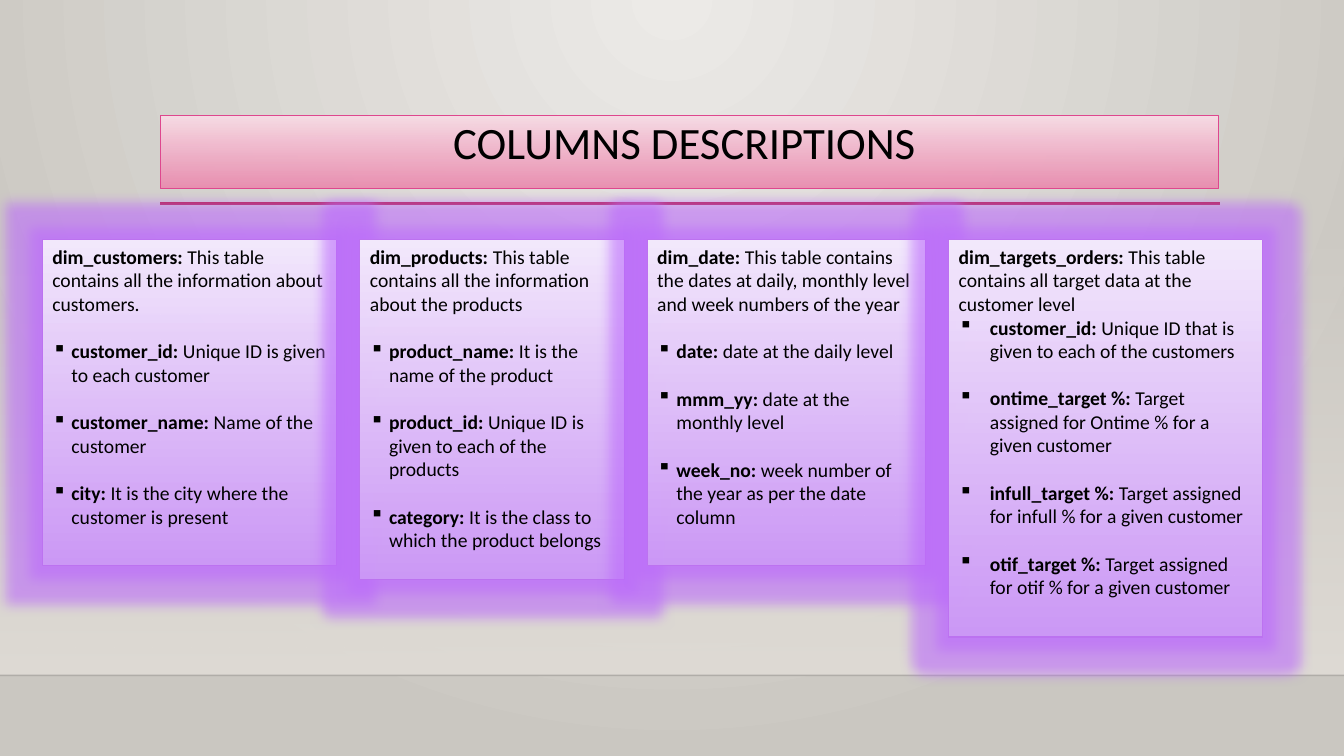
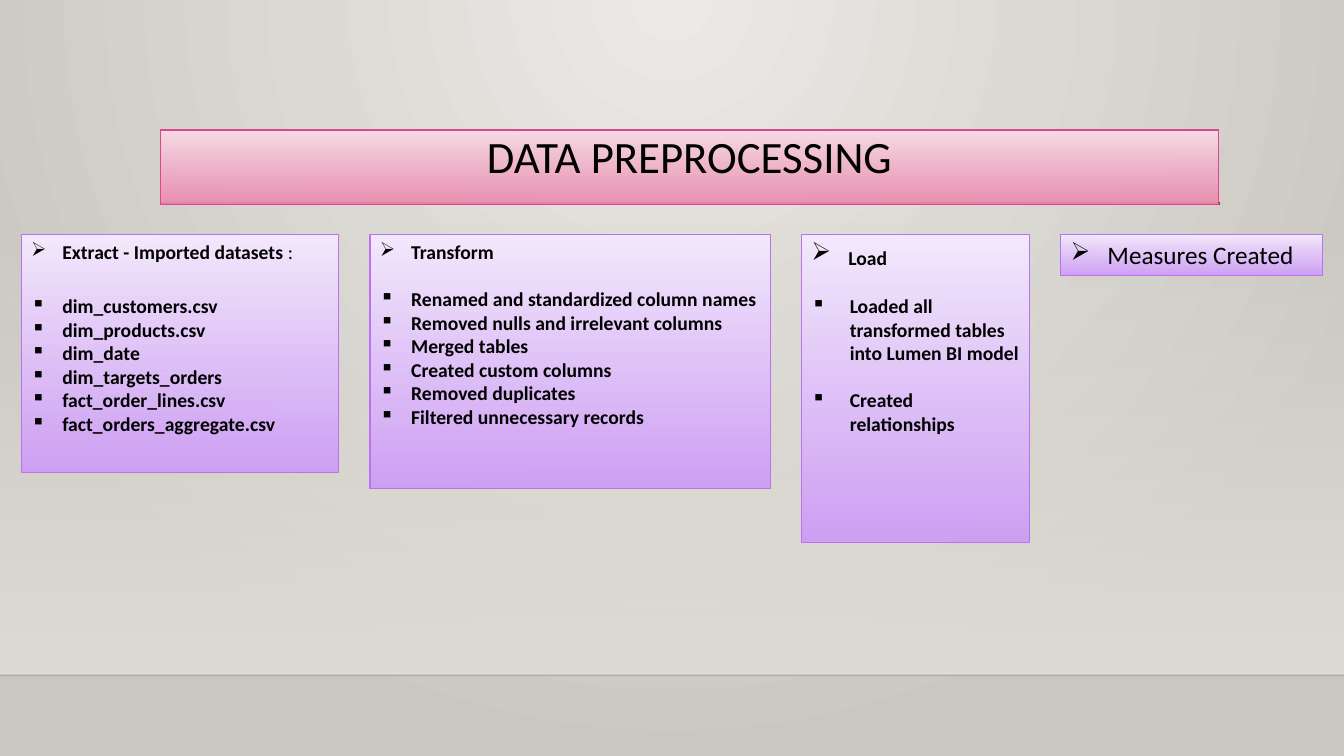
from dataclasses import dataclass

import pptx
import pptx.dml.color
import pptx.enum.shapes
import pptx.enum.text
import pptx.oxml
import pptx.oxml.ns
import pptx.util
from lxml import etree
from pptx.util import Inches

FONT = "Calibri"
BLACK = "000000"
BACKDROP = ("ECEAE7", "CAC7C1")
FLOOR = "DFDBD5"
RULE_RED = "B71E42"
TITLE_FILL, TITLE_LINE = ("F7DCE5", "EA8AAE"), "DE478E"
CARD_FILL, CARD_LINE = ("F4EAFD", "CE9CF7"), "BC72F0"
SQUARE, ARROW = "▪", "➢"
BLANK_LINE = 17


@dataclass
class Line:
    runs: list
    bullet: str = ""
    indent: float = 0
    gap: float = 0


def bold(text, size=14):
    return text, size, True


def plain(text, size=14):
    return text, size, False


def rgb(value):
    return pptx.dml.color.RGBColor.from_string(value)


def add_child(parent, tag, **attributes):
    child = etree.SubElement(parent, pptx.oxml.ns.qn(tag))
    for key, value in attributes.items():
        child.set(key, str(value))
    return child


def set_opacity(owner, colour, percent):
    """Make every use of the colour inside the owner's XML translucent."""
    for node in owner.element.iter(pptx.oxml.ns.qn("a:srgbClr")):
        if node.get("val") == colour:
            add_child(node, "a:alpha", val=percent * 1000)


def set_gradient(fill, colours):
    """Fill from the first colour at the top to the second at the bottom."""
    fill.gradient()
    fill.gradient_angle = 270
    for stop, colour in zip(fill.gradient_stops, colours):
        stop.color.rgb = rgb(colour)


def add_panel(slide, left, top, width, height, colours, outline=None):
    panel = slide.shapes.add_shape(
        pptx.enum.shapes.MSO_SHAPE.RECTANGLE,
        Inches(left), Inches(top), Inches(width), Inches(height))
    panel.shadow.inherit = False
    set_gradient(panel.fill, colours)
    if outline:
        panel.line.color.rgb = rgb(outline)
        panel.line.width = pptx.util.Pt(0.75)
        set_opacity(panel, colours[1], 92)
    else:
        panel.line.fill.background()
    frame = panel.text_frame
    frame.word_wrap = True
    frame.vertical_anchor = pptx.enum.text.MSO_ANCHOR.TOP
    return panel


def add_rule(slide, left, right, y, colour, weight):
    rule = slide.shapes.add_connector(
        pptx.enum.shapes.MSO_CONNECTOR.STRAIGHT,
        Inches(left), Inches(y), Inches(right), Inches(y))
    rule.line.color.rgb = rgb(colour)
    rule.line.width = pptx.util.Pt(weight)
    add_child(rule.element.spPr, "a:effectLst")
    return rule


def set_font(run, size, is_bold=False):
    run.font.name = FONT
    run.font.size = pptx.util.Pt(size)
    run.font.bold = is_bold
    run.font.color.rgb = rgb(BLACK)


def write_line(paragraph, line):
    paragraph.alignment = pptx.enum.text.PP_ALIGN.LEFT
    if line.bullet:
        properties = paragraph._p.get_or_add_pPr()
        properties.set("marL", str(Inches(line.indent)))
        properties.set("indent", str(-Inches(line.indent)))
        add_child(properties, "a:buChar", char=line.bullet)
    if line.gap:
        paragraph.space_before = pptx.util.Pt(line.gap)
    for text, size, is_bold in line.runs:
        run = paragraph.add_run()
        run.text = text
        set_font(run, size, is_bold)


def add_card(slide, left, top, width, height, lines):
    card = add_panel(slide, left, top, width, height, CARD_FILL, CARD_LINE)
    frame = card.text_frame
    for index, line in enumerate(lines):
        write_line(frame.add_paragraph() if index else frame.paragraphs[0], line)
    return card


def add_card_row(slide, left, top, gap, cards):
    """Place (width, height, lines) cards side by side with equal gaps."""
    row = []
    for width, height, lines in cards:
        row.append(add_card(slide, left, top, width, height, lines))
        left += width + gap
    return row


def add_glow(shape):
    effects = shape.element.spPr.find(pptx.oxml.ns.qn("a:effectLst"))
    glow = add_child(effects, "a:glow", rad=Inches(0.25))
    colour = add_child(glow, "a:srgbClr", val="BC6CFB")
    add_child(colour, "a:alpha", val=60000)


def add_title(slide, text, top, height):
    title = add_panel(slide, 1.59, top, 10.5, height, TITLE_FILL, TITLE_LINE)
    paragraph = title.text_frame.paragraphs[0]
    paragraph.text = text
    paragraph.alignment = pptx.enum.text.PP_ALIGN.CENTER
    paragraph.line_spacing = 0.9
    set_font(paragraph.runs[0], 32)


def dress_master(master, slide):
    """Give the master its backdrop, floor and rules, drawn by way of a slide."""
    set_gradient(master.background.fill, BACKDROP)
    linear = next(master.element.iter(pptx.oxml.ns.qn("a:lin")))
    gradient = linear.getparent()
    gradient.remove(linear)
    circle = add_child(gradient, "a:path", path="circle")
    add_child(circle, "a:fillToRect", l=43000, t=0, r=43000, b=100000)

    floor = add_panel(slide, 0, 2.21, 13.33, 4.49, (FLOOR, FLOOR))
    first_stop = next(floor.element.iter(pptx.oxml.ns.qn("a:srgbClr")))
    add_child(first_stop, "a:alpha", val=0)
    horizon = add_rule(slide, 0, 13.33, 6.7, BLACK, 1)
    set_opacity(horizon, BLACK, 20)
    title_rule = add_rule(slide, 1.59, 12.1, 2.02, RULE_RED, 2.5)
    for shape in (floor, horizon, title_rule):
        master.shapes.element.append(shape.element)


def table_lines(table, about, columns, indent=0.19, first_gap=BLANK_LINE):
    lines = [Line([bold(table + ": "), plain(about)])]
    for index, (column, meaning) in enumerate(columns):
        lines.append(Line([bold(column + ": "), plain(meaning)], SQUARE, indent,
                          BLANK_LINE if index else first_gap))
    return lines


def step_lines(heading, items, indent=0.31, first_gap=BLANK_LINE, gap=0):
    lines = [Line(heading, ARROW, 0.31)]
    for index, item in enumerate(items):
        lines.append(Line([bold(item)], SQUARE, indent, gap if index else first_gap))
    return lines


def build_columns(slide):
    add_title(slide, "COLUMNS DESCRIPTIONS ", 1.15, 0.72)
    customers = table_lines(
        "dim_customers", "This table contains all the information about customers.",
        [("customer_id", "Unique ID is given to each customer"),
         ("customer_name", "Name of the customer"),
         ("city", "It is the city where the customer is present")])
    products = table_lines(
        "dim_products", "This table contains all the information about the products",
        [("product_name", "It is the name of the product"),
         ("product_id", "Unique ID is given to each of the products"),
         ("category", "It is the class to which the product belongs")])
    dates = table_lines(
        "dim_date",
        "This table contains the dates at daily, monthly level and week numbers of the year",
        [("date", "date at the daily level"),
         ("mmm_yy", "date at the monthly level"),
         ("week_no", "week number of the year as per the date column")])
    targets = table_lines(
        "dim_targets_orders", "This table contains all target data at the customer level",
        [("customer_id", "Unique ID that is given to each of the customers"),
         ("ontime_target %", "Target assigned for Ontime % for a given customer"),
         ("infull_target %", "Target assigned for infull % for a given customer"),
         ("otif_target %", "Target assigned for otif % for a given customer")],
        indent=0.31, first_gap=0)
    tables = add_card_row(slide, 0.42, 2.38, 0.23, [
        (2.92, 3.23, customers), (2.62, 3.37, products),
        (2.76, 3.23, dates), (3.11, 3.94, targets)])
    for table in tables:
        add_glow(table)


def build_preprocessing(slide):
    add_title(slide, "DATA PREPROCESSING", 1.29, 0.74)
    extract = step_lines(
        [bold("Extract - Imported datasets "), plain(":")],
        ["dim_customers.csv", "dim_products.csv", "dim_date", "dim_targets_orders",
         "fact_order_lines.csv", "fact_orders_aggregate.csv"], first_gap=22)
    transform = step_lines(
        [bold("Transform")],
        ["Renamed and standardized column names", "Removed nulls and irrelevant columns",
         "Merged tables", "Created custom columns", "Removed duplicates",
         "Filtered unnecessary records"])
    load = step_lines(
        [bold(" ", 18), bold("Load")],
        ["Loaded all transformed tables into Lumen BI model", "Created relationships"],
        indent=0.38, gap=BLANK_LINE)
    measures = step_lines([plain(" Measures Created", 18)], [])
    add_card_row(slide, 0.21, 2.33, 0.31, [
        (3.15, 2.36, extract), (3.97, 2.52, transform),
        (2.26, 3.05, load), (2.6, 0.4, measures)])


def main():
    deck = pptx.Presentation()
    deck.slide_width, deck.slide_height = Inches(13.33), Inches(7.5)
    blank = deck.slide_layouts[6]
    columns = deck.slides.add_slide(blank)
    dress_master(deck.slide_master, columns)
    build_columns(columns)
    build_preprocessing(deck.slides.add_slide(blank))
    deck.save("out.pptx")


if __name__ == "__main__":
    main()
